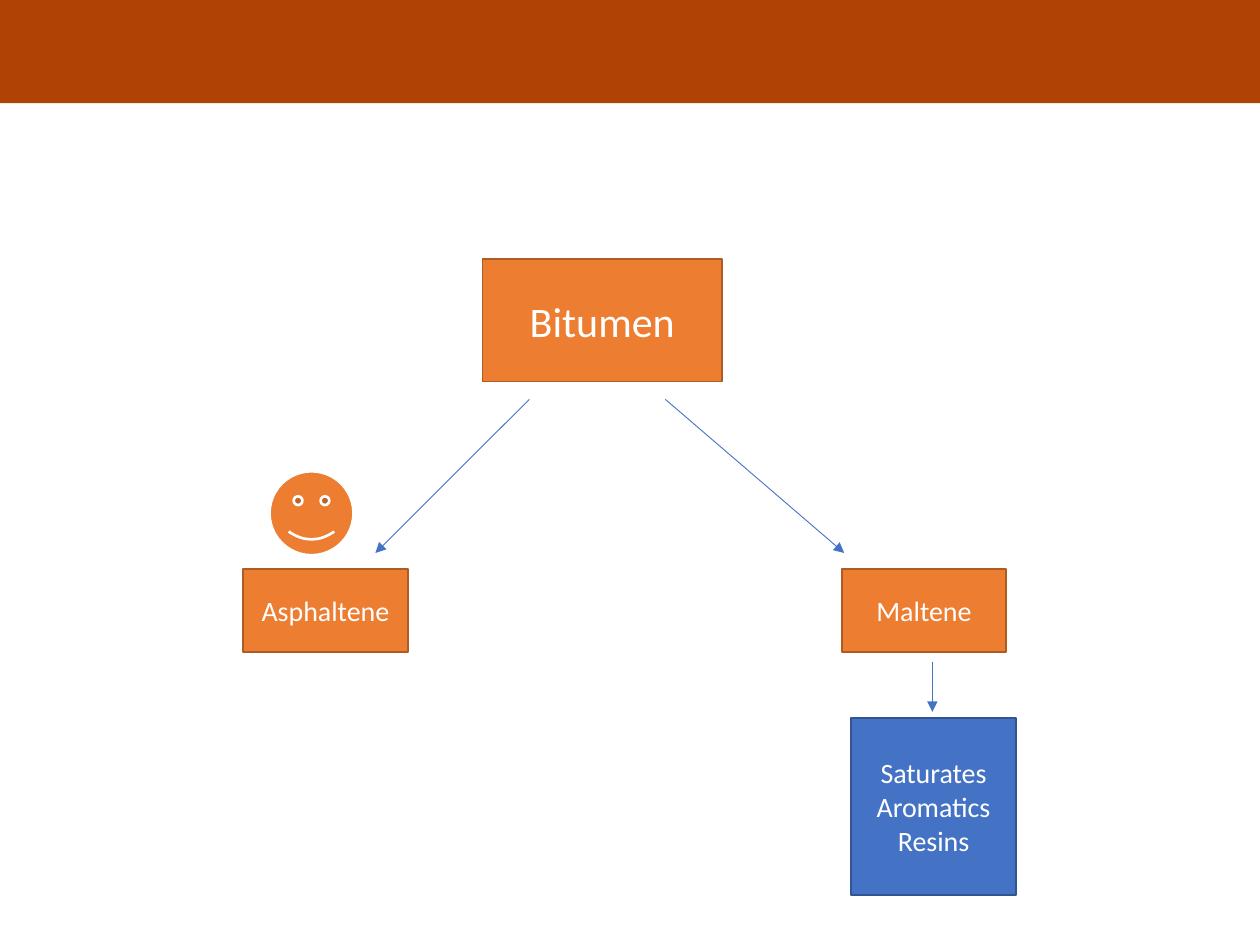
from dataclasses import dataclass

import pptx
import pptx.dml.color
import pptx.enum.shapes
import pptx.enum.text
import pptx.oxml
import pptx.oxml.ns
import pptx.util

Pt = pptx.util.Pt
RGB = pptx.dml.color.RGBColor.from_string
MSO_SHAPE = pptx.enum.shapes.MSO_SHAPE


@dataclass(frozen=True)
class Theme:
    font: str = "Calibri"
    banner: str = "B04304"
    orange: str = "ED7D31"
    orange_edge: str = "AF5C24"
    blue: str = "4472C4"
    blue_edge: str = "325491"
    white: str = "FFFFFF"
    root_size: int = 24
    branch_size: int = 16


theme = Theme()

deck = pptx.Presentation()
deck.slide_width, deck.slide_height = Pt(720), Pt(540)
slide = deck.slides.add_slide(deck.slide_layouts[6])


def add_filled(kind, box, fill, edge=None, edge_width=1):
    """Add a flat shape; box is left, top, width, height in points."""
    shape = slide.shapes.add_shape(kind, *map(Pt, box))
    shape.shadow.inherit = False
    shape.fill.solid()
    shape.fill.fore_color.rgb = RGB(fill)
    if edge:
        shape.line.color.rgb = RGB(edge)
        shape.line.width = Pt(edge_width)
    else:
        shape.line.fill.background()
    return shape


add_filled(MSO_SHAPE.RECTANGLE, (0, 0, 720, 59), theme.banner)

orange_pair = (theme.orange, theme.orange_edge)
blue_pair = (theme.blue, theme.blue_edge)
fractions = [
    (["Bitumen"], (275.8, 148.2, 136.8, 69.8), orange_pair, theme.root_size),
    (["Asphaltene"], (139, 325, 94, 47.8), orange_pair, theme.branch_size),
    (["Maltene"], (481, 325, 94, 47.8), orange_pair, theme.branch_size),
    (["Saturates", "Aromatics", "Resins"], (486.5, 410.3, 94, 101),
     blue_pair, theme.branch_size),
]
for names, box, colours, size in fractions:
    frame = add_filled(MSO_SHAPE.RECTANGLE, box, *colours).text_frame
    frame.word_wrap = True
    frame.vertical_anchor = pptx.enum.text.MSO_ANCHOR.MIDDLE
    frame.text = "\n".join(names)
    for paragraph in frame.paragraphs:
        paragraph.alignment = pptx.enum.text.PP_ALIGN.CENTER
        paragraph.font.name = theme.font
        paragraph.font.size = Pt(size)
        paragraph.font.color.rgb = RGB(theme.white)

arrows = [
    (302.5, 228.2, 214.5, 316),
    (380.2, 228.2, 482.4, 316),
    (532.8, 378.3, 532.8, 406.8),
]
for ends in arrows:
    arrow = slide.shapes.add_connector(
        pptx.enum.shapes.MSO_CONNECTOR.STRAIGHT, *map(Pt, ends))
    arrow.line.color.rgb = RGB(theme.blue)
    arrow.line.width = Pt(0.5)
    head = pptx.oxml.parse_xml(
        f'<a:tailEnd {pptx.oxml.ns.nsdecls("a")} type="triangle"/>')
    arrow.line._get_or_add_ln().append(head)
    no_shadow = pptx.oxml.parse_xml(
        f'<a:effectLst {pptx.oxml.ns.nsdecls("a")}/>')
    arrow._element.spPr.append(no_shadow)

add_filled(MSO_SHAPE.SMILEY_FACE, (154, 269.3, 48, 48),
           theme.orange, theme.white, 1.5)

deck.save("out.pptx")
